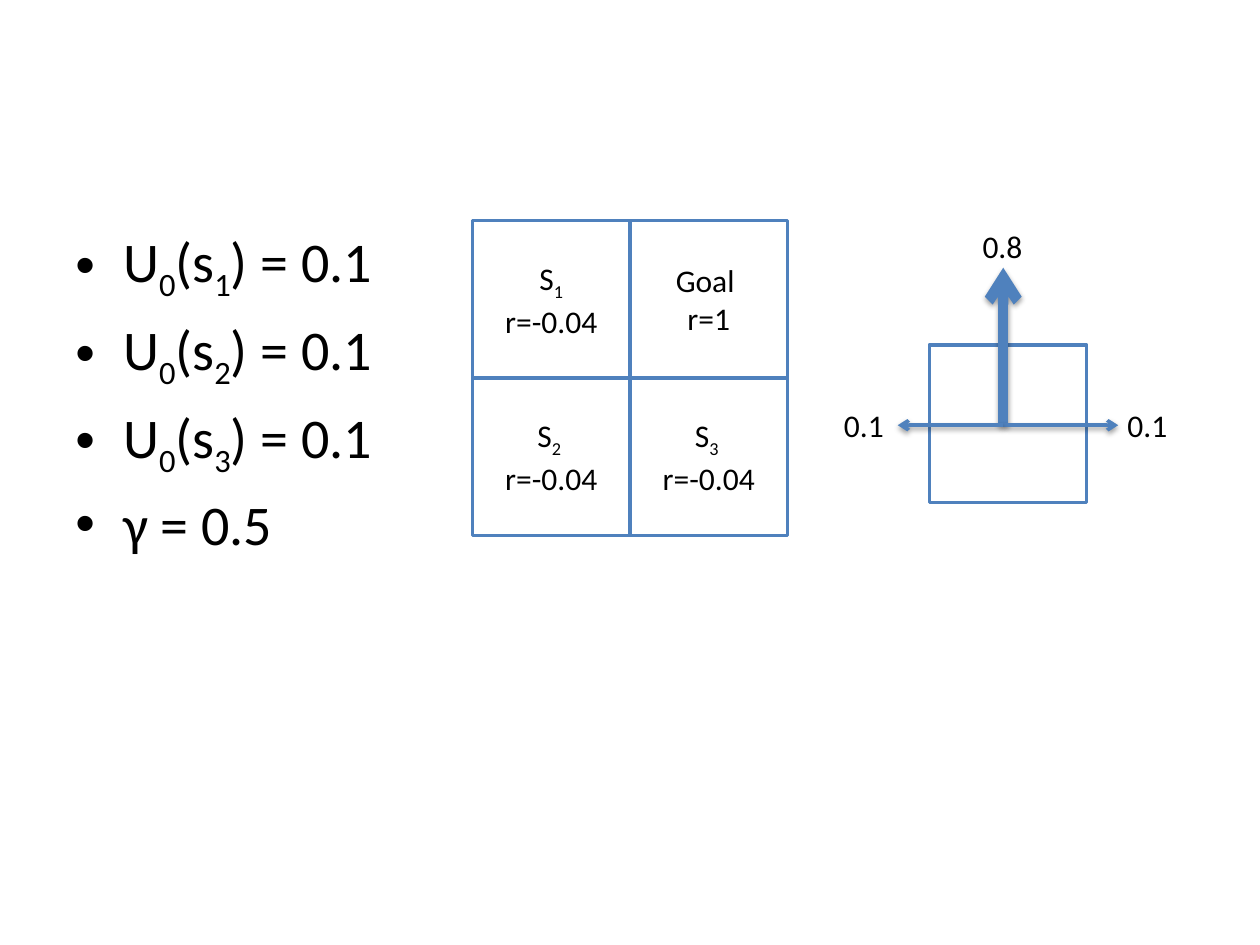
from dataclasses import dataclass

from lxml.etree import SubElement
from pptx import Presentation
from pptx.dml.color import RGBColor
from pptx.enum.shapes import MSO_CONNECTOR as Connector, MSO_SHAPE as Preset
from pptx.enum.text import MSO_ANCHOR as Anchor, MSO_AUTO_SIZE as AutoSize, PP_ALIGN as Align
from pptx.oxml.ns import qn
from pptx.util import Inches, Pt


@dataclass(frozen=True)
class Theme:
    font: str = "Calibri"
    ink: RGBColor = RGBColor(0x00, 0x00, 0x00)
    paper: RGBColor = RGBColor(0xFF, 0xFF, 0xFF)
    accent: RGBColor = RGBColor(0x4F, 0x81, 0xBD)
    body_size: int = 32
    label_size: int = 18
    thin: int = 2
    thick: int = 6


THEME = Theme()
COLUMNS, ROWS = 8, 6
UNIT = 1.25  # side of one grid square, in inches
TOP = 1.4  # row where the content starts


def grid(*values):
    """Turn columns or rows of the grid into lengths."""
    return [Inches(value * UNIT) for value in values]


def set_attributes(target, formats):
    for name, value in formats.items():
        setattr(target, name, value)


def add_xml(parent, tag, **attributes):
    return SubElement(parent, qn(tag), attributes)


def write_line(paragraph, text, size):
    """Write text in which _x_ marks a subscript and a newline a line break."""
    for index, part in enumerate(text.split("_")):
        for number, piece in enumerate(part.split("\n")):
            if number:
                paragraph.add_line_break()
            if not piece:
                continue
            run = paragraph.add_run()
            run.text = piece
            set_attributes(run.font, {"name": THEME.font, "size": Pt(size)})
            run.font.color.rgb = THEME.ink
            if index % 2:
                run.font._element.set("baseline", "-25000")


def add_bullets(slide, box, lines):
    frame = slide.shapes.add_textbox(*grid(*box)).text_frame
    frame.word_wrap = True
    for index, text in enumerate(lines):
        paragraph = frame.add_paragraph() if index else frame.paragraphs[0]
        properties = paragraph._p.get_or_add_pPr()
        properties.set("marL", str(Inches(0.38)))
        properties.set("indent", str(Inches(-0.38)))
        add_xml(add_xml(properties, "a:spcBef"), "a:spcPct", val="20000")
        add_xml(properties, "a:buFont", typeface="Arial")
        add_xml(properties, "a:buChar", char="•")
        write_line(paragraph, text, THEME.body_size)


def add_square(shapes, column, row, text=""):
    square = shapes.add_shape(Preset.RECTANGLE, *grid(column, row, 1, 1))
    square.shadow.inherit = False
    square.fill.solid()
    square.fill.fore_color.rgb = THEME.paper
    square.line.color.rgb = THEME.accent
    square.line.width = Pt(THEME.thin)
    square.text_frame.vertical_anchor = Anchor.MIDDLE
    paragraph = square.text_frame.paragraphs[0]
    paragraph.alignment = Align.CENTER
    write_line(paragraph, text, THEME.label_size)


def add_arrow(slide, start, end, width):
    arrow = slide.shapes.add_connector(Connector.STRAIGHT, *grid(*start, *end))
    arrow.line.color.rgb = THEME.accent
    arrow.line.width = Pt(width)
    add_xml(arrow.line._get_or_add_ln(), "a:tailEnd", type="arrow")
    effects = add_xml(arrow._element.spPr, "a:effectLst")
    shadow = add_xml(effects, "a:outerShdw", blurRad=str(Pt(3.1)), dist=str(Pt(1.6)),
                     dir="5400000", rotWithShape="0")
    add_xml(add_xml(shadow, "a:srgbClr", val=str(THEME.ink)), "a:alpha", val="38000")


def add_label(slide, column, row, text):
    frame = slide.shapes.add_textbox(*grid(column, row, 0.42, 0.32)).text_frame
    set_attributes(frame, {"word_wrap": False, "auto_size": AutoSize.SHAPE_TO_FIT_TEXT})
    write_line(frame.paragraphs[0], text, THEME.label_size)


def add_state_grid(slide, column, row, states):
    group = slide.shapes.add_group_shape()
    for index, text in enumerate(states):
        down, across = divmod(index, 2)
        add_square(group.shapes, column + across, row + down, text)


def add_move_model(slide):
    """Draw one square with the chances of moving up, right and left."""
    add_square(slide.shapes, 5.9, 2.19)
    centre = (6.37, 2.7)
    moves = [
        ((6.37, 1.7), THEME.thick, (6.16, TOP), "0.8"),
        ((7.1, 2.7), THEME.thin, (7.08, 2.54), "0.1"),
        ((5.7, 2.7), THEME.thin, (5.28, 2.54), "0.1"),
    ]
    for tip, width, label, chance in moves:
        add_arrow(slide, centre, tip, width)
        add_label(slide, *label, chance)


def main():
    presentation = Presentation()
    presentation.slide_width, presentation.slide_height = grid(COLUMNS, ROWS)
    slide = presentation.slides.add_slide(presentation.slide_layouts[6])

    # Starting utilities and discount
    utilities = [f"U_0_(s_{state}_) = 0.1" for state in (1, 2, 3)]
    add_bullets(slide, (0.4, TOP, 7.2, 3.96), utilities + ["γ = 0.5"])

    # Chances of each move
    add_move_model(slide)

    # States with their rewards
    add_state_grid(slide, 3, TOP, [
        "S_1_\nr=-0.04", "Goal \nr=1",
        "S_2 _\nr=-0.04", "S_3 _\nr=-0.04",
    ])

    presentation.save("out.pptx")


if __name__ == "__main__":
    main()
